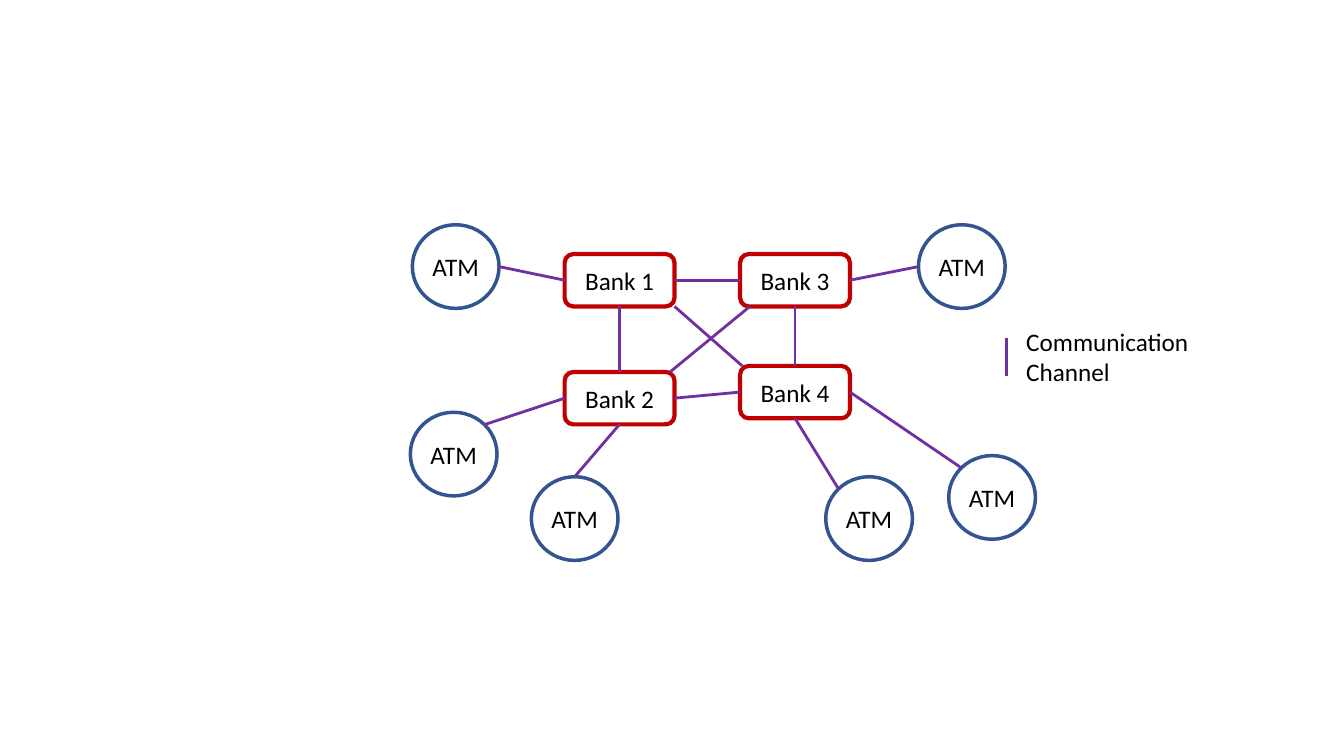
from lxml import etree
from pptx import Presentation
from pptx.dml.color import RGBColor
from pptx.enum import shapes, text
from pptx.oxml.ns import qn
from pptx.util import Inches, Pt

FONT, FONT_SIZE = "Calibri", 18
BLACK, RED, BLUE, PURPLE = "000000", "C00000", "325491", "7030A0"

# Kind: preset, width, height, line colour, line width
KINDS = {
    "Bank": (shapes.MSO_SHAPE.ROUNDED_RECTANGLE, 1.09, 0.52, RED, 3),
    "ATM": (shapes.MSO_SHAPE.OVAL, 0.86, 0.83, BLUE, 2.5),
}
# Key: kind, label, left, top
NODES = {
    "bank1": ("Bank", "Bank 1", 5.6, 2.52),
    "bank2": ("Bank", "Bank 2", 5.6, 3.69),
    "bank3": ("Bank", "Bank 3", 7.34, 2.52),
    "bank4": ("Bank", "Bank 4", 7.34, 3.63),
    "atm1": ("ATM", "ATM", 4.09, 2.23),
    "atm2_west": ("ATM", "ATM", 4.07, 4.09),
    "atm2_south": ("ATM", "ATM", 5.27, 4.73),
    "atm3": ("ATM", "ATM", 9.11, 2.23),
    "atm4_south": ("ATM", "ATM", 8.19, 4.73),
    "atm4_east": ("ATM", "ATM", 9.41, 4.52),
}
# Points on a node as fractions of its width and height
TOP, BOTTOM, LEFT, RIGHT = (0.5, 0), (0.5, 1), (0, 0.5), (1, 0.5)
CIRCLE_NW, CIRCLE_NE = (0.15, 0.15), (0.85, 0.15)
CHANNELS = [
    ("bank1", BOTTOM, "bank2", TOP),
    ("bank3", BOTTOM, "bank4", TOP),
    ("bank1", RIGHT, "bank3", LEFT),
    ("bank2", RIGHT, "bank4", LEFT),
    ("bank1", (1, 1), "bank4", (0.02, 0)),
    ("bank3", (0.09, 1), "bank2", (0.96, 0)),
    ("atm1", RIGHT, "bank1", LEFT),
    ("atm2_west", CIRCLE_NE, "bank2", LEFT),
    ("bank2", BOTTOM, "atm2_south", TOP),
    ("atm3", LEFT, "bank3", RIGHT),
    ("atm4_south", CIRCLE_NW, "bank4", BOTTOM),
    ("atm4_east", CIRCLE_NW, "bank4", RIGHT),
]
LEGEND = ["Communication", "Channel"]
LEGEND_KEY = ((9.98, 3.35), (9.98, 3.73))
LEGEND_BOX = (10.08, 3.19, 1.83, 0.71)


def rgb(value):
    """Turn a hex string into a colour."""
    return RGBColor.from_string(value)


def write(frame, lines):
    """Write one paragraph per line in the slide's text style."""
    frame.word_wrap = False
    frame.text = "\n".join(lines)
    for paragraph in frame.paragraphs:
        paragraph.font.name = FONT
        paragraph.font.size = Pt(FONT_SIZE)
        paragraph.font.color.rgb = rgb(BLACK)


def add_node(slide, kind, label, left, top):
    """Draw an outlined bank or ATM with its centred label."""
    preset, width, height, colour, weight = KINDS[kind]
    node = slide.shapes.add_shape(preset, *map(Inches, (left, top, width, height)))
    node.shadow.inherit = False
    node.fill.background()
    node.line.color.rgb = rgb(colour)
    node.line.width = Pt(weight)
    frame = node.text_frame
    write(frame, [label])
    frame.vertical_anchor = text.MSO_ANCHOR.MIDDLE
    frame.paragraphs[0].alignment = text.PP_ALIGN.CENTER


def point_on(key, fraction):
    """Return the slide position of a fractional point on a node."""
    kind, _, left, top = NODES[key]
    _, width, height, _, _ = KINDS[kind]
    return left + fraction[0] * width, top + fraction[1] * height


def add_channel(slide, start, end):
    """Draw a channel line between two points."""
    channel = slide.shapes.add_connector(
        shapes.MSO_CONNECTOR.STRAIGHT, *map(Inches, (*start, *end)))
    channel.line.color.rgb = rgb(PURPLE)
    channel.line.width = Pt(2)
    etree.SubElement(channel._element.spPr, qn("a:effectLst"))


deck = Presentation()
deck.slide_width, deck.slide_height = Inches(13.33), Inches(7.5)
slide = deck.slides.add_slide(deck.slide_layouts[6])

for node in NODES.values():
    add_node(slide, *node)
for source, source_point, target, target_point in CHANNELS:
    add_channel(slide, point_on(source, source_point), point_on(target, target_point))

add_channel(slide, *LEGEND_KEY)
legend = slide.shapes.add_textbox(*map(Inches, LEGEND_BOX))
write(legend.text_frame, LEGEND)

deck.save("out.pptx")
